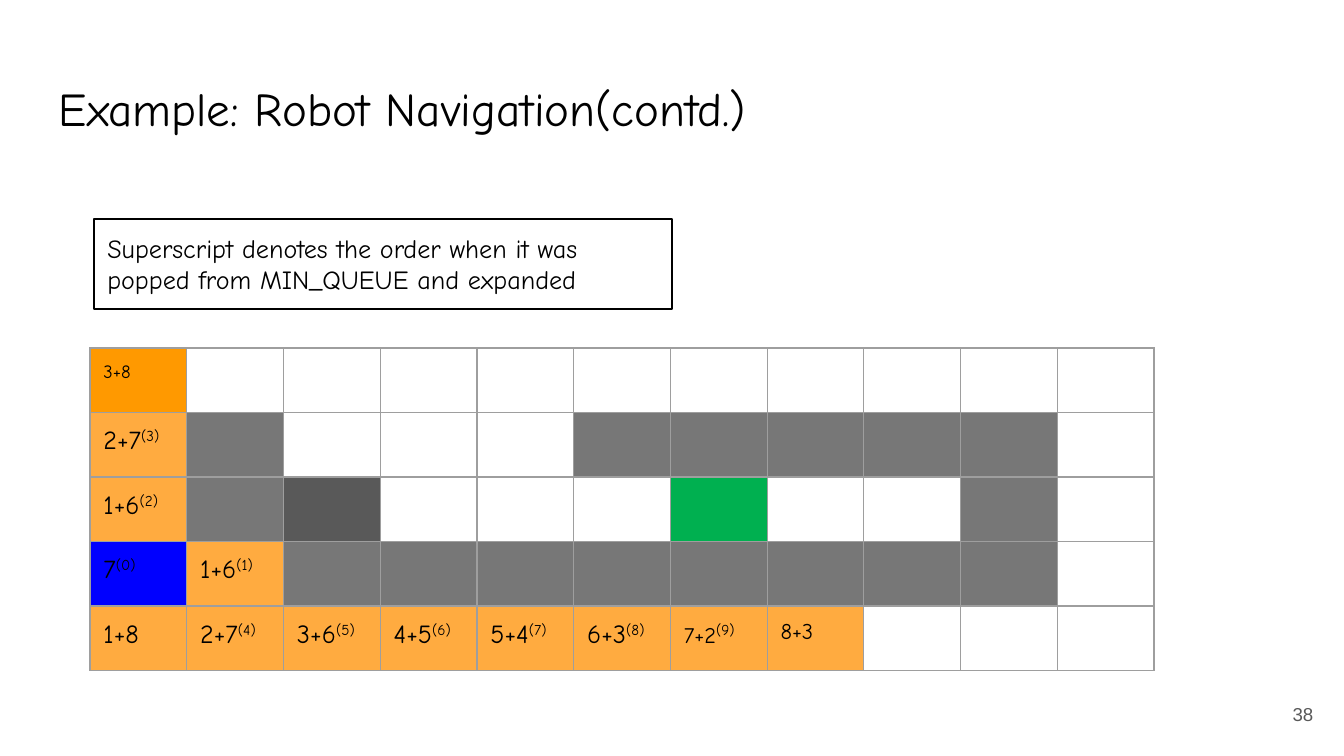
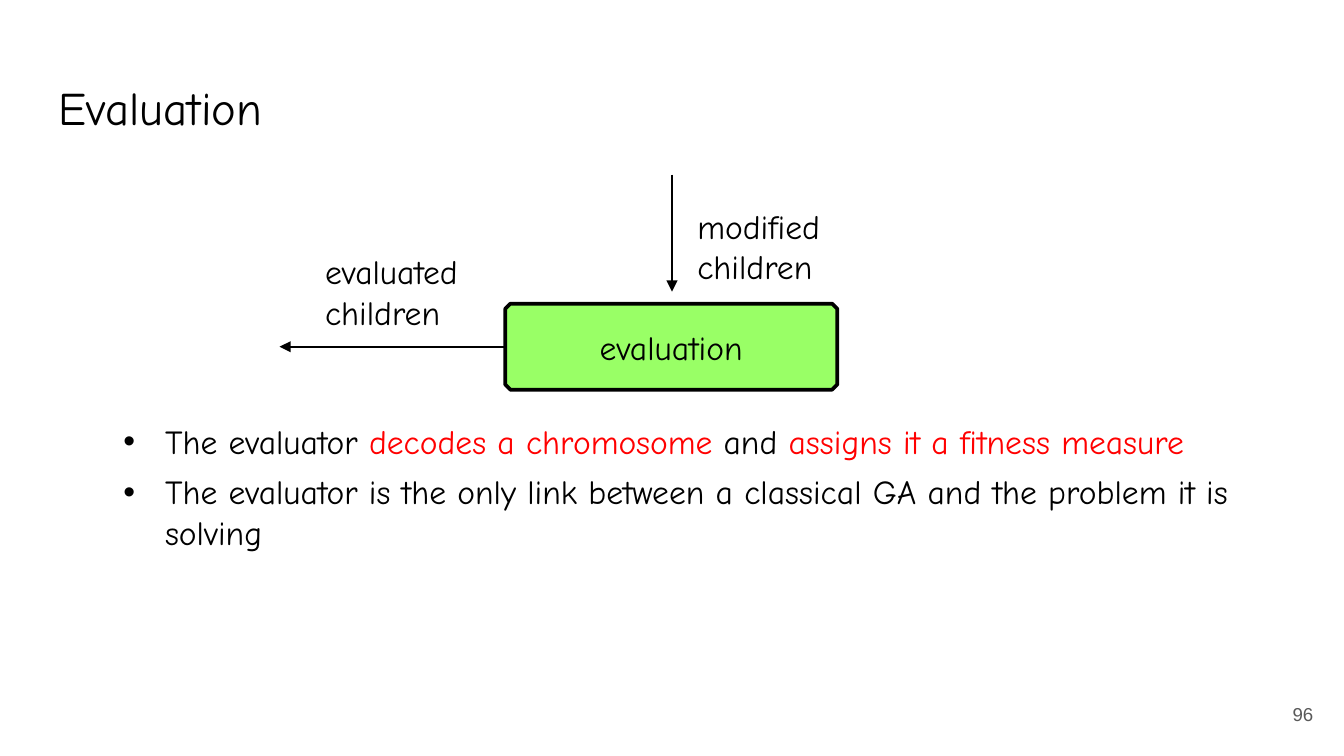
"""Build two lecture slides: a robot navigation grid and an evaluation diagram."""
import pptx
import pptx.dml.color
import pptx.enum.shapes
import pptx.enum.text
import pptx.oxml
import pptx.oxml.ns
import pptx.util
from lxml import etree

Inches, Pt = pptx.util.Inches, pptx.util.Pt
SHAPES = pptx.enum.shapes.MSO_SHAPE
ALIGN = pptx.enum.text.PP_ALIGN
ANCHOR = pptx.enum.text.MSO_ANCHOR
qn = pptx.oxml.ns.qn

SLIDE_WIDTH = 10
SLIDE_HEIGHT = SLIDE_WIDTH * 9 / 16
COLORS = {"black": "000000", "white": "FFFFFF", "number": "595959", "border": "9E9E9E",
          "orange": "FF9900", "amber": "FFAB40", "gray": "777777", "dark": "595959",
          "green": "00B050", "blue": "0000FF", "lime": "99FF66", "red": "FF0000"}
HAND, PLAIN = "Comic Neue", "Arial"

NAVIGATION = {"title": "Example: Robot Navigation(contd.)", "size": 25.2, "number": "38"}
EVALUATION = {"title": "Evaluation", "size": 25, "number": "96"}

NOTE = "Superscript denotes the order when it was popped from MIN_QUEUE and expanded"
GRID = ["OWWWWWW....",
        "AG..WGGGGG.",
        "AGD.WWE..G.",
        "BAGGGGGGGG.",
        "AAAAAAAA..."]
GRID_FILLS = {"O": "orange", "A": "amber", "W": "white", "G": "gray",
              "D": "dark", "E": "green", "B": "blue"}
COSTS = [["3+8"],
         ["2+7 (3)"],
         ["1+6 (2)"],
         ["7 (0)", "1+6 (1)"],
         ["1+8", "2+7 (4)", "3+6 (5)", "4+5 (6)", "5+4 (7)", "6+3 (8)", "7+2 (9)", "8+3"]]
COST_SIZES = {"3+8": 10, "7+2": 12, "8+3": 12}
COLUMN_WIDTH, ROW_HEIGHT = 0.72, 0.48

LABELS = [("evaluated", (2.32, 1.82, 1.49, 0.7)),
          ("modified", (5.09, 1.48, 1.36, 0.7))]
ARROWS = [((5, 1.3), (5, 2.17)),
          ((3.76, 2.58), (2.08, 2.58))]
BULLETS = [[("The evaluator ", "black"), ("decodes a chromosome ", "red"),
            ("and ", "black"), ("assigns it a fitness measure", "red")],
           [("The evaluator is the only link between a classical GA "
             "and the problem it is solving", "black")]]


def rgb(name):
    return pptx.dml.color.RGBColor.from_string(COLORS[name])


def assign(target, values):
    for name, value in values.items():
        setattr(target, name, value)


def add_span(para, text, size=18, color="black", font=HAND, raised=False):
    span = para.add_run()
    span.text = text
    assign(span.font, {"size": Pt(size), "name": font})
    span.font.color.rgb = rgb(color)
    if raised:
        span.font._element.set("baseline", "30000")


def fill_text(shape, lines, inset=0.1, anchor=ANCHOR.TOP, align=ALIGN.LEFT, **style):
    """Write lines, each a string or a list of (text, color) pairs."""
    frame = shape.text_frame
    assign(frame, {"word_wrap": True, "vertical_anchor": anchor,
                   "margin_left": Inches(0.1), "margin_right": Inches(0.1),
                   "margin_top": Inches(inset), "margin_bottom": Inches(inset)})
    for index, line in enumerate(lines):
        para = frame.add_paragraph() if index else frame.paragraphs[0]
        para.alignment = align
        for text, color in [(line, "black")] if isinstance(line, str) else line:
            add_span(para, text, color=color, **style)
    return frame


def add_text(page, place, lines, **style):
    return fill_text(page.shapes.add_textbox(*map(Inches, place)), lines, **style)


def add_box(page, kind, place, line_width, fill=None):
    box = page.shapes.add_shape(kind, *map(Inches, place))
    box.shadow.inherit = False
    if fill:
        box.fill.solid()
        box.fill.fore_color.rgb = rgb(fill)
    else:
        box.fill.background()
    box.line.color.rgb = rgb("black")
    box.line.width = Pt(line_width)
    return box


def add_arrow(page, start, end):
    arrow = page.shapes.add_connector(pptx.enum.shapes.MSO_CONNECTOR.STRAIGHT,
                                      *map(Inches, start + end))
    arrow.line.color.rgb = rgb("black")
    arrow.line.width = Pt(1)
    etree.SubElement(arrow.line._get_or_add_ln(), qn("a:tailEnd"), type="triangle")
    etree.SubElement(arrow._element.spPr, qn("a:effectLst"))


def add_borders(cell):
    properties = cell._tc.get_or_add_tcPr()
    for index, side in enumerate(("lnL", "lnR", "lnT", "lnB")):
        line = etree.Element(qn("a:" + side), w=str(Pt(0.75)))
        solid = etree.SubElement(line, qn("a:solidFill"))
        etree.SubElement(solid, qn("a:srgbClr"), val=COLORS["border"])
        properties.insert(index, line)


def add_page(deck, heading):
    page = deck.slides.add_slide(deck.slide_layouts[6])
    add_text(page, (0.34, 0.49, 9.32, 0.63), [heading["title"]], size=heading["size"])
    add_text(page, (9.27, 5.1, 0.6, 0.43), [[(heading["number"], "number")]],
             anchor=ANCHOR.MIDDLE, align=ALIGN.RIGHT, size=10, font=PLAIN)
    return page


def add_grid(page):
    rows, columns = len(GRID), len(GRID[0])
    table = page.shapes.add_table(rows, columns, Inches(0.67), Inches(2.59),
                                  Inches(columns * COLUMN_WIDTH),
                                  Inches(rows * ROW_HEIGHT)).table
    assign(table, {"first_row": False, "horz_banding": False})
    for column in table.columns:
        column.width = Inches(COLUMN_WIDTH)
    for row, keys in enumerate(GRID):
        table.rows[row].height = Inches(ROW_HEIGHT)
        for column, key in enumerate(keys):
            cell = table.cell(row, column)
            assign(cell, {"margin_left": Inches(0.1), "margin_right": Inches(0.1),
                          "margin_top": Inches(0.1), "margin_bottom": Inches(0.05)})
            if key in GRID_FILLS:
                cell.fill.solid()
                cell.fill.fore_color.rgb = rgb(GRID_FILLS[key])
            else:
                cell.fill.background()
            add_borders(cell)
            if column < len(COSTS[row]):
                cost, _, order = COSTS[row][column].partition(" ")
                para = cell.text_frame.paragraphs[0]
                add_span(para, cost, COST_SIZES.get(cost, 14))
                if order:
                    add_span(para, order, 14, raised=True)


def build_navigation(deck):
    page = add_page(deck, NAVIGATION)
    add_grid(page)
    note = add_box(page, SHAPES.RECTANGLE, (0.7, 1.63, 4.3, 0.67), 0.75)
    fill_text(note, [NOTE], size=14)


def build_evaluation(deck):
    page = add_page(deck, EVALUATION)
    body = add_text(page, (0.75, 3.08, 8.5, 1.2), BULLETS, inset=0.05)
    for para in body.paragraphs:
        para.space_after = Pt(5.6)
        properties = para._p.get_or_add_pPr()
        properties.set("marL", str(Inches(0.38)))
        properties.set("indent", str(-Inches(0.31)))
        color = etree.SubElement(properties, qn("a:buClr"))
        etree.SubElement(color, qn("a:srgbClr"), val=COLORS["black"])
        etree.SubElement(properties, qn("a:buFont"), typeface=PLAIN)
        etree.SubElement(properties, qn("a:buChar"), char="•")
    evaluator = add_box(page, SHAPES.OCTAGON, (3.76, 2.26, 2.47, 0.64), 2, "lime")
    evaluator.adjustments[0] = 0.06
    fill_text(evaluator, ["evaluation"], inset=0.05, anchor=ANCHOR.MIDDLE, align=ALIGN.CENTER)
    for start, end in ARROWS:
        add_arrow(page, start, end)
    for state, place in LABELS:
        add_text(page, place, [state, "children"], inset=0.05)


def main():
    deck = pptx.Presentation()
    assign(deck, {"slide_width": Inches(SLIDE_WIDTH), "slide_height": Inches(SLIDE_HEIGHT)})
    build_navigation(deck)
    build_evaluation(deck)
    deck.save("out.pptx")


if __name__ == "__main__":
    main()
